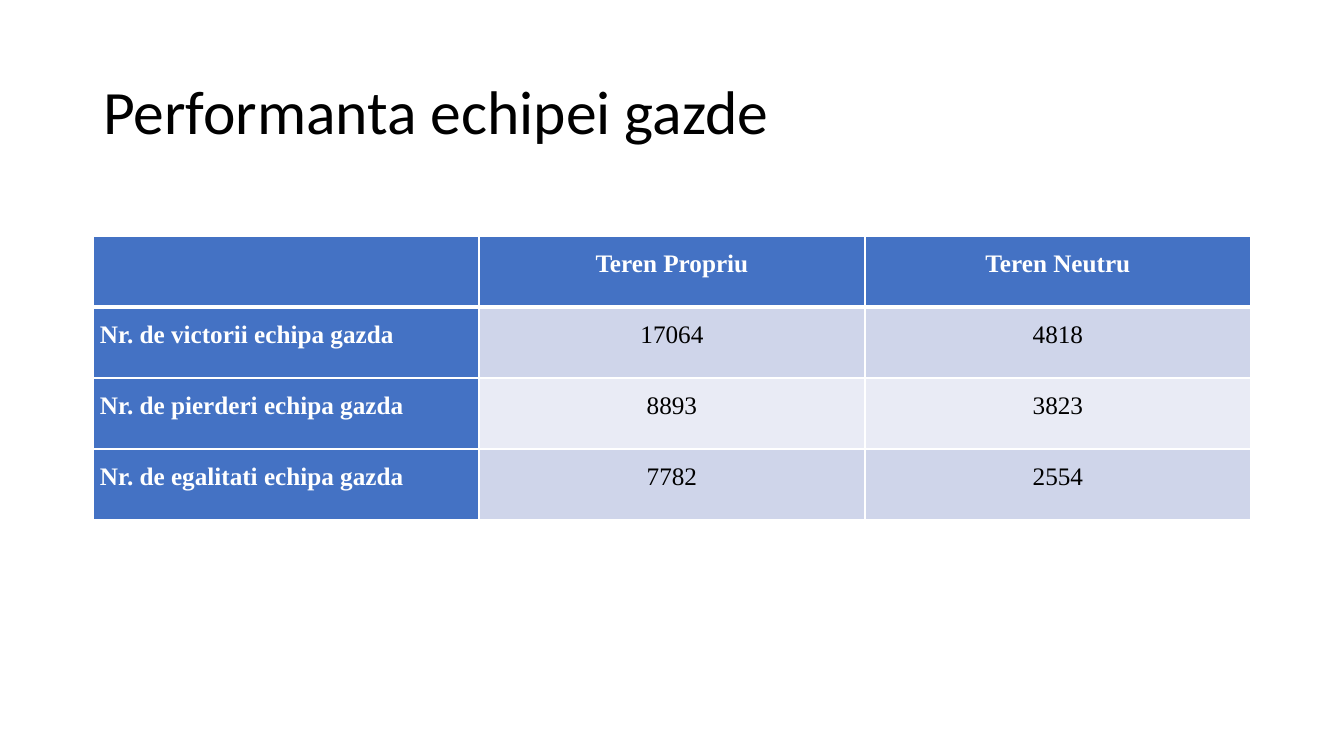
"""Build the slide on the home team's performance with its results table."""
from lxml.etree import SubElement
from pptx import Presentation
from pptx.dml.color import RGBColor
from pptx.enum.text import MSO_ANCHOR, PP_ALIGN
from pptx.oxml.ns import qn
from pptx.util import Pt

TITLE = "Performanta echipei gazde"
ROWS = [
    ("", "Teren Propriu", "Teren Neutru"),
    ("Nr. de victorii echipa gazda", "17064", "4818"),
    ("Nr. de pierderi echipa gazda", "8893", "3823"),
    ("Nr. de egalitati echipa gazda", "7782", "2554"),
]
BLUE, WHITE, BLACK = "4472C4", "FFFFFF", "000000"
BANDS = ["E9EBF5", "CFD5EA"]
LEFT, TABLE_TOP, COL_W, ROW_H = 93, 236, 386, 71
TITLE_TOP, TITLE_H = 42, 146
CELL_PAD = 7
TABLE_W = COL_W * len(ROWS[0])


def px(n):
    return round(n * 914400 / 100.8)


def rgb(value):
    return RGBColor.from_string(value)


def add_run(p, text, font, size, color, bold=False):
    r = p.add_run()
    r.text = text
    r.font.name, r.font.size, r.font.bold = font, Pt(size), bold
    r.font.color.rgb = rgb(color)


def add_border(cell, side, width):
    ln = SubElement(cell._tc.get_or_add_tcPr(), qn(f"a:ln{side}"), w=str(Pt(width)))
    fill = SubElement(ln, qn("a:solidFill"))
    SubElement(fill, qn("a:srgbClr"), val=WHITE)


def format_cell(cell, text, row, col):
    header = row == 0 or col == 0
    widths = {"L": 1, "R": 1, "T": 3 if row == 1 else 1, "B": 3 if row == 0 else 1}
    for side, width in widths.items():
        add_border(cell, side, width)
    cell.fill.solid()
    cell.fill.fore_color.rgb = rgb(BLUE if header else BANDS[row % 2])
    cell.margin_left = cell.margin_right = px(CELL_PAD)
    cell.margin_top = cell.margin_bottom = 0
    if text:
        p = cell.text_frame.paragraphs[0]
        p.alignment = PP_ALIGN.CENTER if col else PP_ALIGN.JUSTIFY
        p.line_spacing = 1.5
        add_run(p, text, "Times New Roman", 18, WHITE if header else BLACK, header)


prs = Presentation()
prs.slide_width, prs.slide_height = px(1344), px(756)
s = prs.slides.add_slide(prs.slide_layouts[5])

title = s.shapes.title
title.left, title.top = px(LEFT), px(TITLE_TOP)
title.width, title.height = px(TABLE_W), px(TITLE_H)
tf = title.text_frame
tf.vertical_anchor = MSO_ANCHOR.MIDDLE
p = tf.paragraphs[0]
p.alignment, p.line_spacing = PP_ALIGN.LEFT, 0.9
add_run(p, TITLE, "Calibri", 44, BLACK)

table = s.shapes.add_table(
    len(ROWS), len(ROWS[0]), px(LEFT), px(TABLE_TOP), px(TABLE_W), px(ROW_H * len(ROWS))
).table
table.first_col = True
for row, texts in enumerate(ROWS):
    for col, text in enumerate(texts):
        format_cell(table.cell(row, col), text, row, col)

prs.save("out.pptx")
